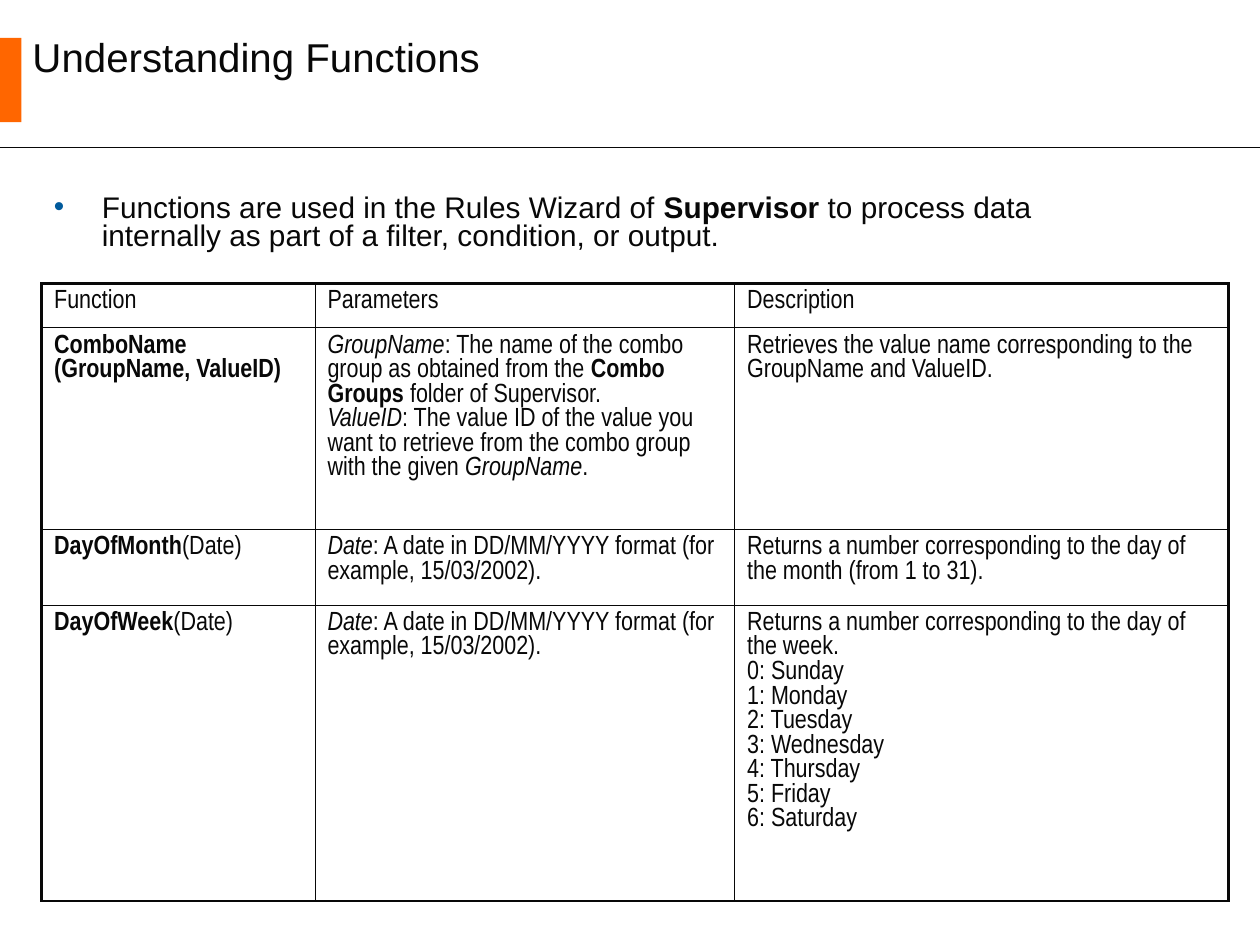
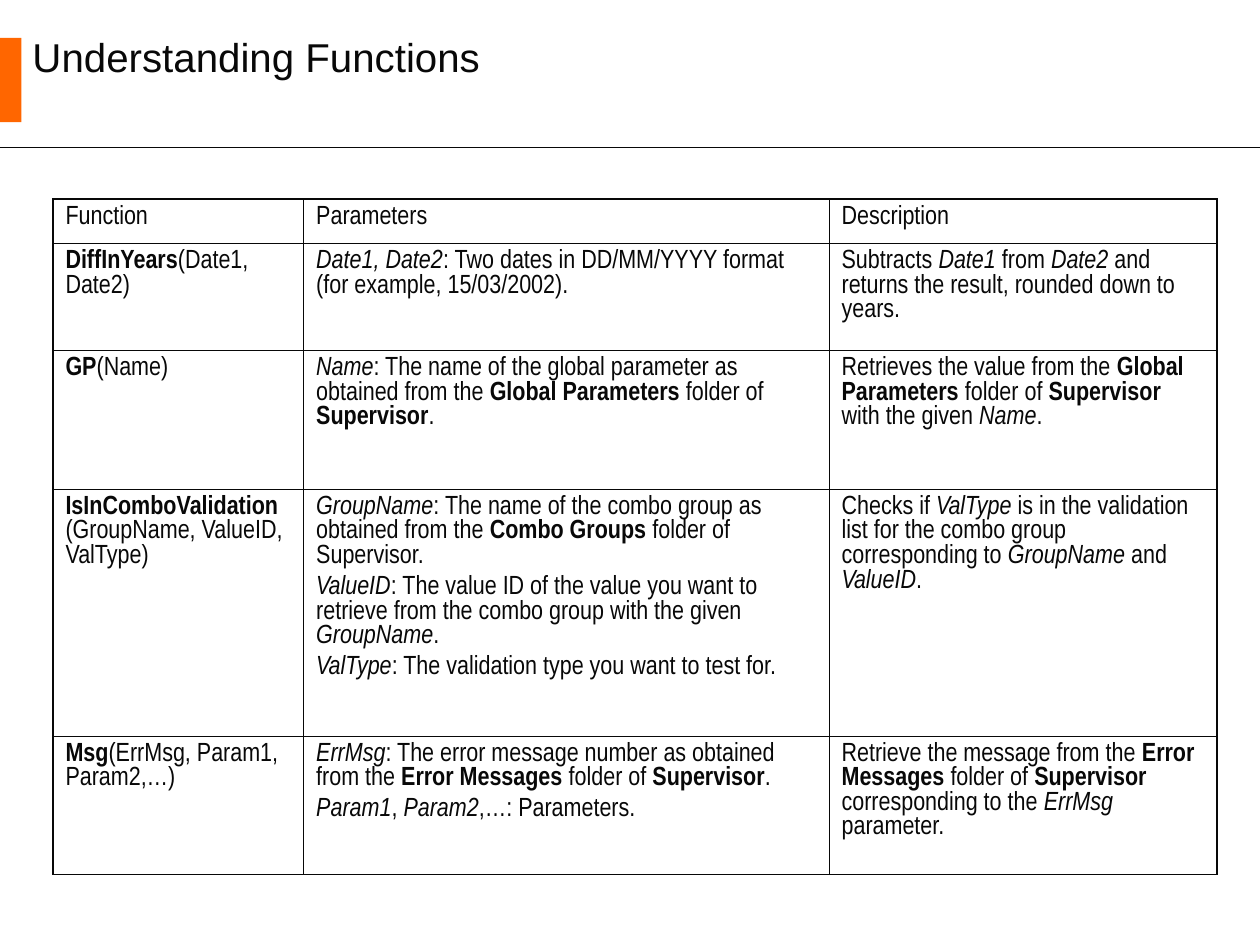
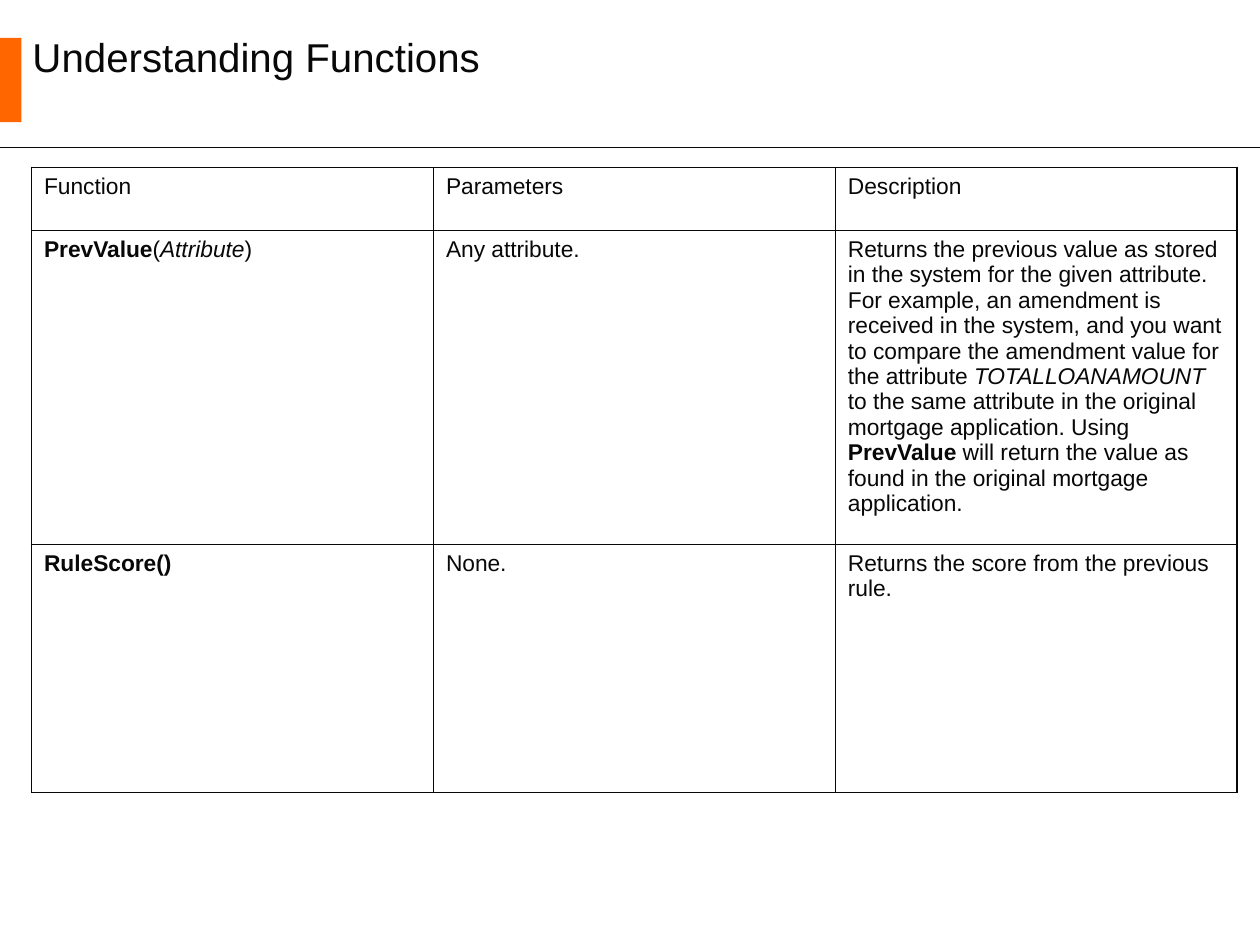
from copy import deepcopy

from lxml.etree import SubElement
from pptx import Presentation
from pptx.dml.color import RGBColor
from pptx.enum.shapes import MSO_CONNECTOR as Connector, MSO_SHAPE as Shape
from pptx.oxml.ns import qn
from pptx.util import Inches, Pt

COLORS = {"ink": "080808", "accent": "FF6600", "bullet": "005A9C"}
INNER_BORDER = 0.45
HEADINGS = ["Function", "Parameters", "Description"]
DATE_PARAMETER = ["_Date|: A date in DD/MM/YYYY format (for example, 15/03/2002)."]
COMBO_GROUP = ("_GroupName|: The name of the combo group as obtained from the |"
               "*Combo Groups| folder of Supervisor.")
COMBO_VALUE = ("_ValueID|: The value ID of the value you want to retrieve from "
               "the combo group with the given |_GroupName|.")
WEEKDAYS = ["Sunday", "Monday", "Tuesday", "Wednesday", "Thursday", "Friday", "Saturday"]


def color(name):
    return RGBColor.from_string(COLORS[name])


class FunctionDeck:
    def __init__(self):
        self.deck = Presentation()
        self.deck.slide_width = Inches(10)
        self.deck.slide_height = Inches(7.5)
        self.page = None

    def start_page(self, title_height=0.52):
        self.page = self.deck.slides.add_slide(self.deck.slide_layouts[6])
        self.band()
        self.rule()
        frame = self.text_frame(0.16, 0.21, 6.97, title_height)
        self.add_spans(frame.paragraphs[0], "Understanding Functions", "Arial", 23)

    def band(self):
        band = self.page.shapes.add_shape(
            Shape.RECTANGLE, 0, Inches(0.3), Inches(0.17), Inches(0.67))
        band.shadow.inherit = False
        band.fill.solid()
        band.fill.fore_color.rgb = color("accent")
        band.line.fill.background()

    def rule(self):
        rule = self.page.shapes.add_connector(
            Connector.STRAIGHT, 0, Inches(1.17), Inches(10), Inches(1.17))
        rule.line.color.rgb = color("ink")
        rule.line.width = Pt(0.75)
        SubElement(rule._element.spPr, qn("a:effectLst"))

    def text_frame(self, left, top, width, height):
        box = self.page.shapes.add_textbox(
            Inches(left), Inches(top), Inches(width), Inches(height))
        box.text_frame.word_wrap = True
        return box.text_frame

    def add_spans(self, para, text, font, size):
        """Pieces are split by |; a leading * means bold and _ means italic."""
        for piece in text.split("|"):
            if piece == "\n":
                para.add_line_break()
                continue
            span = para.add_run()
            span.text = piece.lstrip("*_")
            span.font.name = font
            span.font.size = Pt(size)
            span.font.bold = piece.startswith("*")
            span.font.italic = piece.startswith("_")
            span.font.color.rgb = color("ink")
        for line_break in para._p.findall(qn("a:br")):
            line_break.append(deepcopy(para.runs[0]._r.rPr))

    def bullet(self, text):
        para = self.text_frame(0.33, 1.5, 8.92, 0.58).paragraphs[0]
        self.add_spans(para, text, "Arial", 17)
        para.line_spacing = 0.8
        para.space_before = Pt(4.2)
        settings = para._p.get_or_add_pPr()
        settings.set("marL", str(Inches(0.38)))
        settings.set("indent", str(-Inches(0.38)))
        bullet_color = SubElement(settings, qn("a:buClr"))
        SubElement(bullet_color, qn("a:srgbClr"), val=COLORS["bullet"])
        SubElement(settings, qn("a:buFont"), typeface="Arial")
        SubElement(settings, qn("a:buChar"), char="•")

    def table(self, left, top, widths, heights, functions, outer,
              font="Arial Narrow", size=15, space=0, spaced_from=1):
        table = self.page.shapes.add_table(
            len(heights), len(widths), Inches(left), Inches(top),
            Inches(sum(widths)), Inches(sum(heights))).table
        table.first_row = table.horz_banding = False
        for column, width in zip(table.columns, widths):
            column.width = Inches(width)
        for row, height in zip(table.rows, heights):
            row.height = Inches(height)
        rows = [[[heading] for heading in HEADINGS]] + functions
        last_row, last_column = len(heights) - 1, len(widths) - 1
        for r, texts in enumerate(rows):
            for c, lines in enumerate(texts):
                cell = table.cell(r, c)
                before = space if r >= spaced_from else 0
                self.fill_cell(cell, lines, font, size, before)
                edges = {"L": c == 0, "R": c == last_column,
                         "T": r == 0, "B": r == last_row}
                self.borders(cell, edges, outer)

    def fill_cell(self, cell, lines, font, size, before):
        frame = cell.text_frame
        for index, line in enumerate(lines):
            para = frame.add_paragraph() if index else frame.paragraphs[0]
            self.add_spans(para, line, font, size)
            para.space_before = Pt(before)

    def borders(self, cell, edges, outer):
        settings = cell._tc.get_or_add_tcPr()
        for side, is_outer in edges.items():
            width = Pt(outer if is_outer else INNER_BORDER)
            line = SubElement(settings, qn(f"a:ln{side}"), w=str(width))
            fill = SubElement(line, qn("a:solidFill"))
            SubElement(fill, qn("a:srgbClr"), val=COLORS["ink"])
        cell.fill.background()


def main():
    show = FunctionDeck()

    show.start_page(title_height=0.28)
    show.bullet("Functions are used in the Rules Wizard of |*Supervisor| to process "
                "data internally as part of a filter, condition, or output.")
    show.table(0.33, 2.25, [2.17, 3.33, 3.92], [0.35, 1.6, 0.6, 2.35], [
        [["*ComboName|\n|*(GroupName, ValueID)"],
         [COMBO_GROUP, COMBO_VALUE],
         ["Retrieves the value name corresponding to the GroupName and ValueID."]],
        [["*DayOfMonth|(Date)"],
         DATE_PARAMETER,
         ["Returns a number corresponding to the day of the month (from 1 to 31)."]],
        [["*DayOfWeek|(Date)"],
         DATE_PARAMETER,
         ["Returns a number corresponding to the day of the week."]
         + [f"{number}: {day}" for number, day in enumerate(WEEKDAYS)]],
    ], outer=1.47)

    show.start_page()
    show.table(0.42, 1.58, [1.99, 4.17, 3.08], [0.35, 0.85, 1.1, 1.96, 1.1], [
        [["*DiffInYears|(Date1, Date2)"],
         ["_Date1, Date2|: Two dates in DD/MM/YYYY format (for example, 15/03/2002)."],
         ["Subtracts |_Date1| from |_Date2| and returns the result, "
          "rounded down to years."]],
        [["*GP|(Name)"],
         ["_Name|: The name of the global parameter as obtained from the |"
          "*Global Parameters| folder of |*Supervisor|."],
         ["Retrieves the value from the |*Global Parameters| folder of |"
          "*Supervisor| with the given |_Name|."]],
        [["*IsInComboValidation|\n|(GroupName, ValueID, ValType)"],
         [COMBO_GROUP, COMBO_VALUE,
          "_ValType|: The validation type you want to test for."],
         ["Checks if |_ValType| is in the validation list for the combo group "
          "corresponding to |_GroupName| and |_ValueID|."]],
        [["*Msg|(ErrMsg, Param1, Param2,…)"],
         ["_ErrMsg|: The error message number as obtained from the |"
          "*Error Messages| folder of |*Supervisor|.",
          "_Param1|, |_Param2|,…: Parameters."],
         ["Retrieve the message from the |*Error Messages| folder of |"
          "*Supervisor| corresponding to the |_ErrMsg| parameter."]],
    ], outer=1.08, space=3.7, spaced_from=3)

    show.start_page()
    show.table(0.25, 1.33, [3.19] * 3, [0.5, 2.49, 1.97], [
        [["*PrevValue|(|_Attribute|)"],
         ["Any attribute."],
         ["Returns the previous value as stored in the system for the given attribute. "
          "For example, an amendment is received in the system, and you want to compare "
          "the amendment value for the attribute |_TOTALLOANAMOUNT| to the same attribute "
          "in the original mortgage application. Using |*PrevValue| will return the value "
          "as found in the original mortgage application."]],
        [["*RuleScore()"],
         ["None."],
         ["Returns the score from the previous rule."]],
    ], outer=1.08, font="Arial", size=13, space=3.3)

    show.deck.save("out.pptx")


if __name__ == "__main__":
    main()
